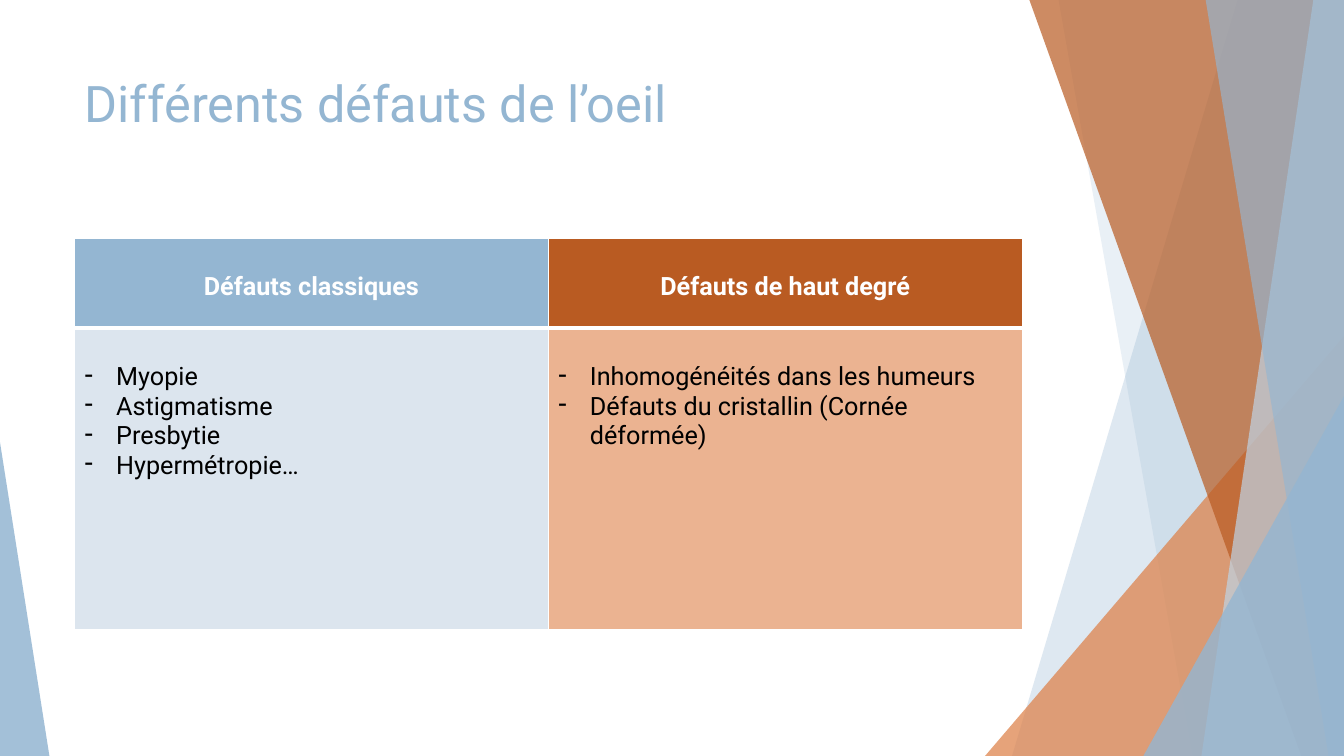
from pptx import Presentation
from pptx.dml.color import RGBColor
from pptx.enum.shapes import MSO_SHAPE as Kind
from pptx.enum.text import MSO_ANCHOR as Anchor, MSO_AUTO_SIZE as Fit, PP_ALIGN as Align
from pptx.oxml import parse_xml
from pptx.oxml.ns import nsdecls, qn
from pptx.util import Pt

BLUE = RGBColor(0x94, 0xB6, 0xD2)
PALE = RGBColor(0xBF, 0xD3, 0xE4)
MIST = RGBColor(0xDC, 0xE5, 0xEE)
ORANGE = RGBColor(0xDD, 0x80, 0x47)
RUST = RGBColor(0xB9, 0x5B, 0x22)
PEACH = RGBColor(0xEB, 0xB3, 0x91)
WHITE = RGBColor(0xFF, 0xFF, 0xFF)
BLACK = RGBColor(0, 0, 0)
WIDE, HIGH, RISE = 960, 540, -0.6


def paint(shape, color, alpha):
    """Fill without line or shadow; alpha is the opacity in percent."""
    shape.shadow.inherit = False
    shape.line.fill.background()
    shape.fill.solid()
    shape.fill.fore_color.rgb = color
    tint = shape.fill._xPr.find(qn("a:solidFill"))[0]
    tint.append(parse_xml(f'<a:alpha {nsdecls("a")} val="{alpha * 1000}"/>'))


def write(para, text, size, color, bold=False):
    run = para.add_run()
    run.text = text
    run.font.name = "Roboto"
    run.font.size = Pt(size)
    run.font.bold = bold
    run.font.color.rgb = color


deck = Presentation()
deck.slide_width, deck.slide_height = Pt(WIDE), Pt(HIGH)
slide = deck.slides.add_slide(deck.slide_layouts[5])
shapes = slide.shapes

# Translucent decor, back to front: bands (top x, foot x) reach the right
# edge, wedges (left, top, width, apex) stand on the bottom edge
decor = [
    ("band", (884.2, 722.9), BLUE, 30),
    ("band", (756, 851.8), BLUE, 20),
    ("wedge", (703.6, 240, 256.4, 1), ORANGE, 72),
    ("band", (735.1, 929.5), RUST, 70),
    ("band", (938.2, 858.2), PALE, 70),
    ("band", (861.1, 949), BLUE, 65),
    ("wedge", (816.7, 283, 143.3, 1), BLUE, 80),
    ("wedge", (0, 316, 35.3, 0), BLUE, 85),
]
for form, place, color, alpha in decor:
    if form == "band":
        top, foot = place
        path = shapes.build_freeform(Pt(top), Pt(RISE))
        path.add_line_segments(
            [(Pt(x), Pt(y)) for x, y in ((WIDE, RISE), (WIDE, HIGH), (foot, HIGH))])
        shape = path.convert_to_shape()
    else:
        left, top, width, apex = place
        shape = shapes.add_shape(
            Kind.ISOSCELES_TRIANGLE, Pt(left), Pt(top), Pt(width), Pt(HIGH - top))
        shape.adjustments[0] = apex
    paint(shape, color, alpha)

title = shapes.title
title.left, title.top, title.width, title.height = Pt(53.3), Pt(48.2), Pt(676.8), Pt(103.7)
frame = title.text_frame
frame.auto_size = Fit.NONE
frame.vertical_anchor = Anchor.TOP
frame.paragraphs[0].alignment = Align.LEFT
write(frame.paragraphs[0], "Différents défauts de l’oeil", 36, BLUE)

columns = [
    ("Défauts classiques", BLUE, MIST,
     ["Myopie", "Astigmatisme", "Presbytie", "Hypermétropie…"]),
    ("Défauts de haut degré", RUST, PEACH,
     ["Inhomogénéités dans les humeurs", "Défauts du cristallin (Cornée déformée)"]),
]
table = shapes.add_table(2, 2, Pt(53.3), Pt(170), Pt(676.8), Pt(279.4)).table
table.horz_banding = False
table.rows[0].height, table.rows[1].height = Pt(64.1), Pt(215.3)

for col, (head, dark, light, items) in enumerate(columns):
    for row, color in enumerate((dark, light)):
        cell = table.cell(row, col)
        cell.fill.solid()
        cell.fill.fore_color.rgb = color
        cell.margin_top = Pt(24.7)
        props = cell._tc.get_or_add_tcPr()
        for spot, side in enumerate("LRTB"):
            # The rule between head and body is thicker
            thick = 3 if (row, side) in ((0, "B"), (1, "T")) else 1
            props.insert(spot, parse_xml(
                f'<a:ln{side} {nsdecls("a")} w="{Pt(thick)}"><a:solidFill>'
                f'<a:srgbClr val="{WHITE}"/></a:solidFill></a:ln{side}>'))

    para = table.cell(0, col).text_frame.paragraphs[0]
    para.alignment = Align.CENTER
    write(para, head, 18, WHITE, True)

    frame = table.cell(1, col).text_frame
    for num, item in enumerate(items):
        para = frame.add_paragraph() if num else frame.paragraphs[0]
        props = para._p.get_or_add_pPr()
        props.set("marL", str(Pt(22.5)))
        props.set("indent", str(-Pt(22.5)))
        props.append(parse_xml(f'<a:buChar {nsdecls("a")} char="-"/>'))
        write(para, item, 18, BLACK)

deck.save("out.pptx")
